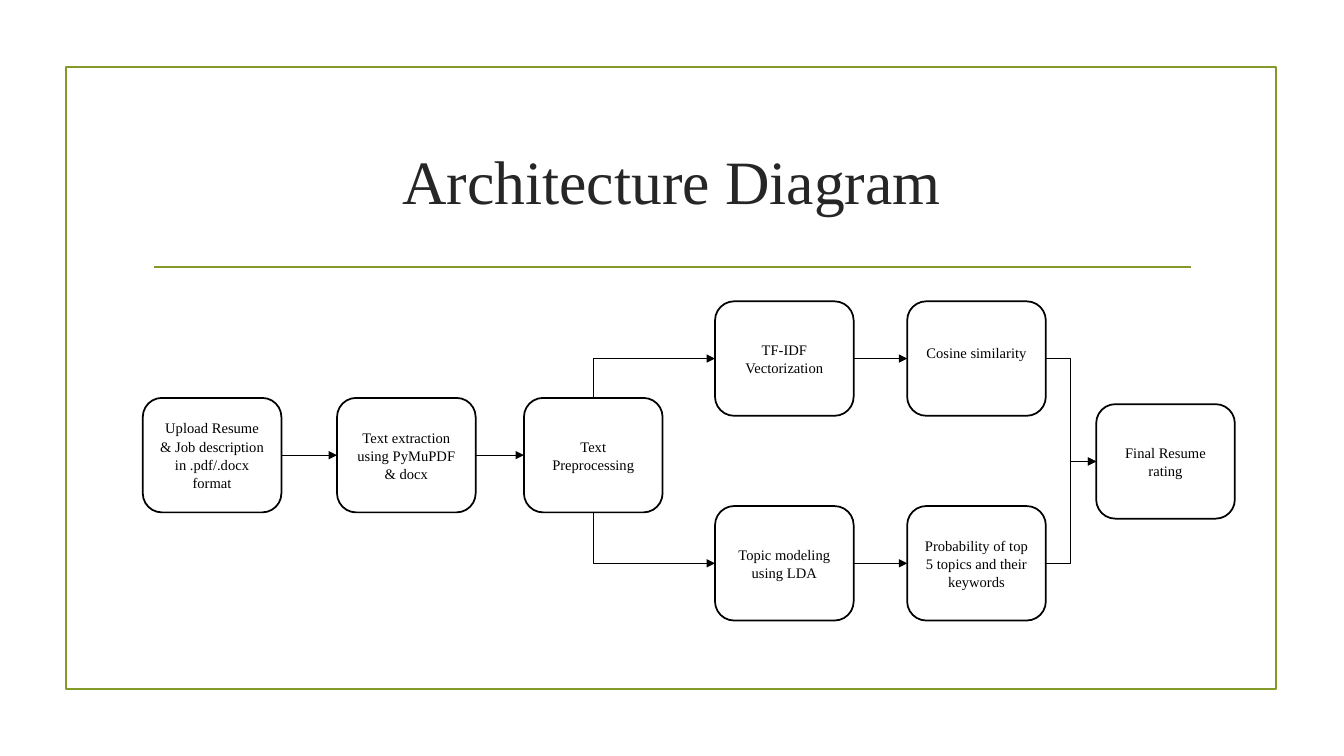
from lxml.etree import SubElement
from pptx import Presentation
from pptx.dml.color import RGBColor
from pptx.enum.shapes import MSO_CONNECTOR, MSO_SHAPE
from pptx.enum.text import MSO_ANCHOR, PP_ALIGN
from pptx.oxml.ns import qn
from pptx.util import Pt

PX = 9525  # EMU per px, 96 px to the inch
OLIVE = RGBColor(0x83, 0x99, 0x2A)
CHARCOAL = RGBColor(0x26, 0x26, 0x26)
BLACK = RGBColor(0, 0, 0)
WHITE = RGBColor(255, 255, 255)
FONT = "Times New Roman"

STEP_W, STEP_H = 132, 109
UPPER, MIDDLE, LOWER = 287, 379, 482  # tops of the three rows
TOP, LEFT, BOTTOM, RIGHT = range(4)  # connection sites of a step

# key: (left, top, text)
STEPS = {
    "upload": (136, MIDDLE, "Upload Resume & Job description in .pdf/.docx format"),
    "extraction": (321, MIDDLE, "Text extraction using PyMuPDF & docx"),
    "preprocessing": (499, MIDDLE, "Text Preprocessing"),
    "vectorization": (681, UPPER, "TF-IDF Vectorization"),
    "similarity": (864, UPPER, "Cosine similarity"),
    "topics": (681, LOWER, "Topic modeling using LDA"),
    "probability": (864, LOWER, "Probability of top 5 topics and their keywords"),
    "rating": (1044, 385, "Final Resume rating"),
}
STRAIGHT_FLOWS = [
    ("upload", "extraction"),
    ("extraction", "preprocessing"),
    ("vectorization", "similarity"),
    ("topics", "probability"),
]
BRANCHES = [("vectorization", TOP), ("topics", BOTTOM)]
MERGES = ["similarity", "probability"]


def px(*lengths):
    return [length * PX for length in lengths]


def write(frame, text, size, color=BLACK, space_after=0, line_spacing=1.0):
    frame.word_wrap = True
    frame.vertical_anchor = MSO_ANCHOR.MIDDLE
    paragraph = frame.paragraphs[0]
    paragraph.alignment = PP_ALIGN.CENTER
    paragraph.space_after = Pt(space_after)
    paragraph.line_spacing = line_spacing
    run = paragraph.add_run()
    run.text = text
    run.font.name = FONT
    run.font.size = Pt(size)
    run.font.color.rgb = color


def style_line(line, color, width):
    line.color.rgb = color
    line.width = Pt(width)


def add_frame(slide):
    frame = slide.shapes.add_shape(MSO_SHAPE.RECTANGLE, *px(63, 64, 1152, 592))
    frame.shadow.inherit = False
    frame.fill.background()
    style_line(frame.line, OLIVE, 1.25)


def add_title(slide, text):
    title = slide.shapes.title
    title.left, title.top, title.width, title.height = px(136, 103, 1008, 137)
    write(title.text_frame, text, 44, color=CHARCOAL)


def add_step(slide, left, top, text):
    step = slide.shapes.add_shape(
        MSO_SHAPE.ROUNDED_RECTANGLE, *px(left, top, STEP_W, STEP_H))
    step.shadow.inherit = False
    step.fill.solid()
    step.fill.fore_color.rgb = WHITE
    style_line(step.line, BLACK, 1.25)
    write(step.text_frame, text, 10.4, space_after=6, line_spacing=1.05)
    return step


def add_line(slide, kind, ends, color, width):
    line = slide.shapes.add_connector(kind, *px(*ends))
    style_line(line.line, color, width)
    SubElement(line._element.spPr, qn("a:effectLst"))
    return line


def add_flow(slide, start, start_site, end, end_site,
             kind=MSO_CONNECTOR.STRAIGHT, arrow="a:tailEnd"):
    flow = add_line(slide, kind, (0, 0, 0, 0), BLACK, 0.75)
    flow.begin_connect(start, start_site)
    flow.end_connect(end, end_site)
    SubElement(flow.line._get_or_add_ln(), qn(arrow), type="triangle")
    return flow


def add_branch(slide, source, source_site, target):
    # A single-bend connector leaves sideways, so it runs from target to source
    branch = add_flow(slide, target, LEFT, source, source_site,
                      kind=MSO_CONNECTOR.ELBOW, arrow="a:headEnd")
    branch._element.spPr.find(qn("a:prstGeom")).set("prst", "bentConnector2")


def main():
    deck = Presentation()
    deck.slide_width, deck.slide_height = px(1280, 720)
    slide = deck.slides.add_slide(deck.slide_layouts[5])

    # Frame, title and rule
    add_frame(slide)
    add_line(slide, MSO_CONNECTOR.STRAIGHT, (147, 254, 1134, 254), OLIVE, 1.25)
    add_title(slide, "Architecture Diagram")

    # Steps; the similarity label sits a little above the middle
    steps = {key: add_step(slide, *step) for key, step in STEPS.items()}
    steps["similarity"].text_frame.margin_bottom = 17 * PX

    # Arrows between the steps
    for start, end in STRAIGHT_FLOWS:
        add_flow(slide, steps[start], RIGHT, steps[end], LEFT)
    for target, site in BRANCHES:
        add_branch(slide, steps["preprocessing"], site, steps[target])
    for start in MERGES:
        add_flow(slide, steps[start], RIGHT, steps["rating"], LEFT,
                 kind=MSO_CONNECTOR.ELBOW)

    deck.save("out.pptx")


if __name__ == "__main__":
    main()
